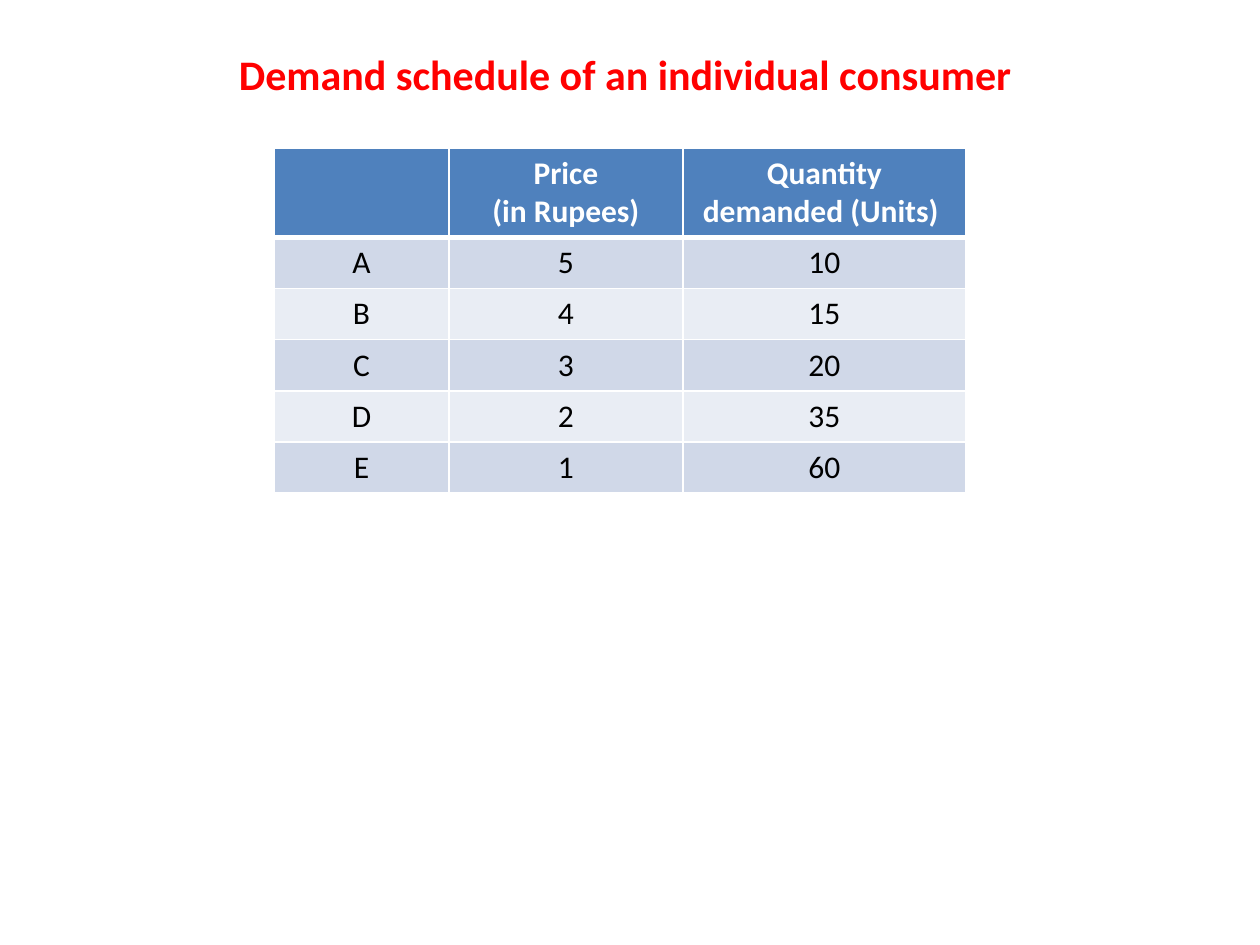
from lxml.etree import SubElement
from pptx import Presentation
from pptx.dml.color import RGBColor
from pptx.enum.text import MSO_ANCHOR, MSO_AUTO_SIZE, PP_ALIGN
from pptx.oxml.ns import qn
from pptx.util import Emu, Pt

TITLE = "Demand schedule of an individual consumer "
HEADER = ("", "Price\n(in Rupees)", "Quantity demanded (Units) ")
SCHEDULE = [("A", 5, 10), ("B", 4, 15), ("C", 3, 20), ("D", 2, 35), ("E", 1, 60)]

THEME = {
    "font": "Calibri", "title_size": 24, "table_size": 18,
    "title": "FF0000", "header": "4F81BD", "header_text": "FFFFFF",
    "bands": ("D0D8E8", "E9EDF4"), "text": "000000", "border": "FFFFFF",
}
SLIDE = (1260, 945)
TITLE_BOX = (42, 42, 1176, 63)
TABLE_AT = (274, 148)
COL_WIDTHS = (175, 234, 283)
HEADER_HEIGHT, ROW_HEIGHT = 87, 50


def px(n):
    return Emu(round(n * 914400 / 126))


def write(tf, text, *, size, color, bold=False):
    for i, line in enumerate(text.split("\n")):
        p = tf.add_paragraph() if i else tf.paragraphs[0]
        p.alignment = PP_ALIGN.CENTER
        p.font.size = Pt(size)
        r = p.add_run()
        r.text = line
        r.font.name, r.font.size, r.font.bold = THEME["font"], Pt(size), bold
        r.font.color.rgb = RGBColor.from_string(color)


def set_borders(cell, bottom):
    tc_pr = cell._tc.get_or_add_tcPr()
    for side, width in (("L", 1), ("R", 1), ("T", 1), ("B", bottom)):
        ln = SubElement(tc_pr, qn(f"a:ln{side}"), w=str(Pt(width)))
        fill = SubElement(ln, qn("a:solidFill"))
        SubElement(fill, qn("a:srgbClr"), val=THEME["border"])


def add_title(s):
    title = s.shapes.title
    title.left, title.top, title.width, title.height = map(px, TITLE_BOX)
    tf = title.text_frame
    tf.word_wrap = True
    tf.auto_size = MSO_AUTO_SIZE.NONE
    tf.vertical_anchor = MSO_ANCHOR.TOP
    write(tf, TITLE, size=THEME["title_size"], color=THEME["title"], bold=True)


def add_schedule(s):
    rows = [HEADER, *SCHEDULE]
    heights = [HEADER_HEIGHT] + [ROW_HEIGHT] * len(SCHEDULE)
    box = (*TABLE_AT, sum(COL_WIDTHS), sum(heights))
    table = s.shapes.add_table(len(rows), len(HEADER), *map(px, box)).table
    for col, width in zip(table.columns, COL_WIDTHS):
        col.width = px(width)
    for i, (values, height) in enumerate(zip(rows, heights)):
        table.rows[i].height = px(height)
        head = i == 0
        fill = THEME["header"] if head else THEME["bands"][(i - 1) % 2]
        color = THEME["header_text"] if head else THEME["text"]
        for j, value in enumerate(values):
            cell = table.cell(i, j)
            set_borders(cell, bottom=3 if head else 1)
            cell.fill.solid()
            cell.fill.fore_color.rgb = RGBColor.from_string(fill)
            if value != "":
                write(cell.text_frame, str(value), size=THEME["table_size"],
                      color=color, bold=head)


def main():
    prs = Presentation()
    prs.slide_width, prs.slide_height = map(px, SLIDE)
    s = prs.slides.add_slide(prs.slide_layouts[5])
    add_title(s)
    add_schedule(s)
    prs.save("out.pptx")


if __name__ == "__main__":
    main()
